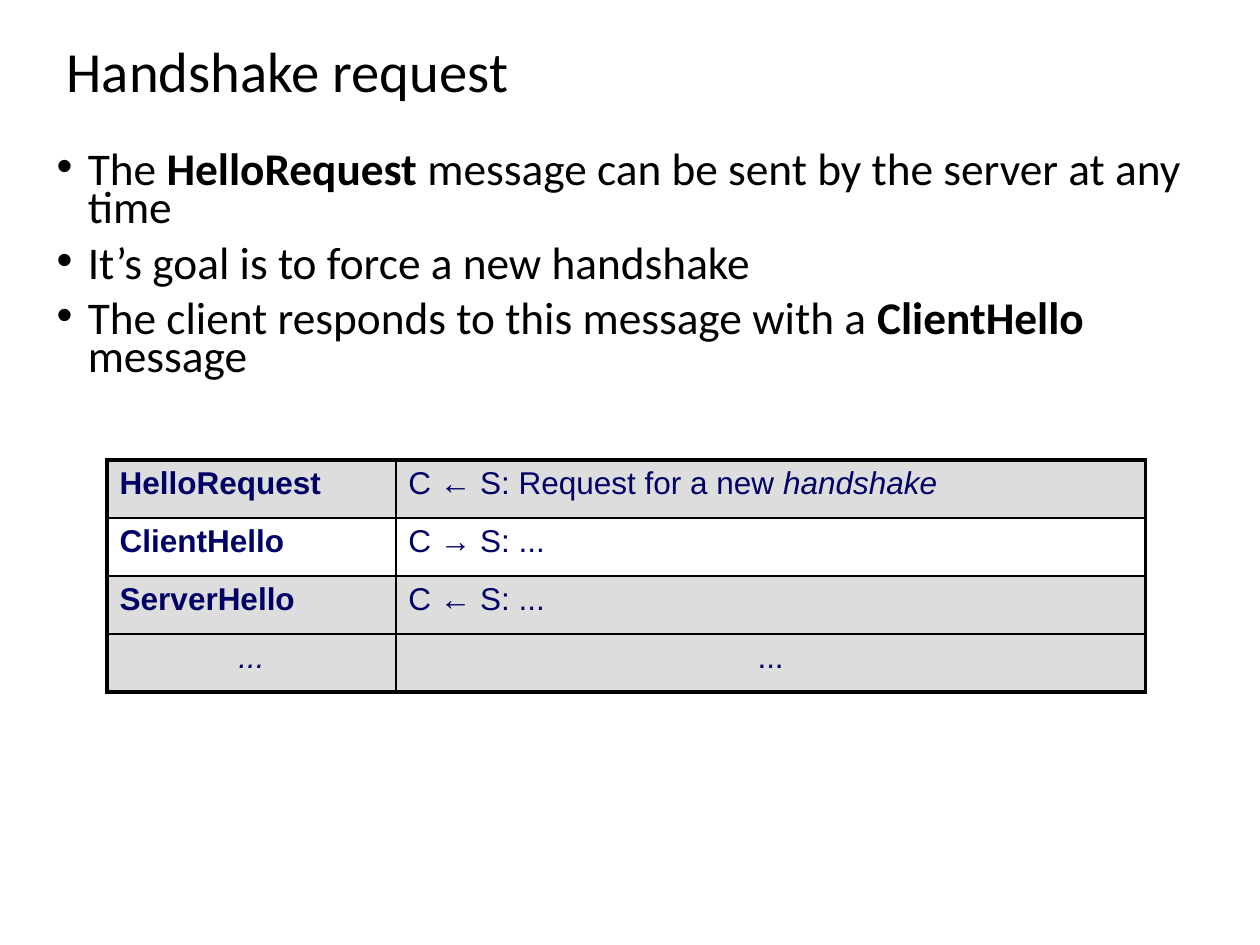
from lxml.etree import SubElement
from pptx import Presentation
from pptx.dml.color import RGBColor
from pptx.enum.text import MSO_AUTO_SIZE as AutoSize, MSO_VERTICAL_ANCHOR as Anchor, PP_ALIGN as Align
from pptx.oxml.ns import qn
from pptx.util import Cm, Pt

BLACK = RGBColor(0x00, 0x00, 0x00)
NAVY = RGBColor(0x00, 0x00, 0x66)
GREY = RGBColor(0xDD, 0xDD, 0xDD)
WHITE = RGBColor(0xFF, 0xFF, 0xFF)

TITLE_FONT = {"name": "Calibri", "size": Pt(32.4), "bold": False}
BODY_FONT = {"name": "Calibri", "size": Pt(25.9)}
CELL_FONT = {"name": "Arial", "size": Pt(18)}
BOLD, ITALIC = {"bold": True}, {"italic": True}

BULLETS = [
    [("The ", {}), ("HelloRequest", BOLD),
     (" message can be sent by the server at any time", {})],
    [("It’s goal is to force a new handshake", {})],
    [("The client responds to this message with a ", {}),
     ("ClientHello", BOLD), (" message", {})],
]
# Each row: fill, alignment, spans of the message cell, spans of the flow cell
MESSAGES = [
    (GREY, Align.LEFT, [("HelloRequest", BOLD)],
     [("C ← S: Request for a new ", {}), ("handshake", ITALIC)]),
    (WHITE, Align.LEFT, [("ClientHello", BOLD)], [("C → S: ...", {})]),
    (GREY, Align.LEFT, [("ServerHello", BOLD)], [("C ← S: ...", {})]),
    (GREY, Align.CENTER, [("...", ITALIC)], [("...", {})]),
]


def apply_format(target, values):
    """Set every attribute named in the dict on the target."""
    for name, value in values.items():
        setattr(target, name, value)


def write_spans(para, spans, font, color):
    """Write (text, format) spans in one base font and colour."""
    for text, extra in spans:
        span = para.add_run()
        span.text = text
        apply_format(span.font, {**font, **extra})
        span.font.color.rgb = color


def add_bullet(para, indent):
    """Give a paragraph a round bullet with a hanging indent."""
    props = para._p.get_or_add_pPr()
    props.set("marL", str(indent))
    props.set("indent", str(-indent))
    SubElement(props, qn("a:buFont")).set("typeface", "Arial")
    SubElement(props, qn("a:buChar")).set("char", "•")


def set_borders(cell, widths):
    """Draw the four cell edges; widths are keyed L, R, T, B."""
    props = cell._tc.get_or_add_tcPr()
    for index, (side, width) in enumerate(widths.items()):
        line = props.makeelement(qn(f"a:ln{side}"), {"w": str(Pt(width))})
        fill = SubElement(line, qn("a:solidFill"))
        SubElement(fill, qn("a:srgbClr")).set("val", str(BLACK))
        props.insert(index, line)


def place_title(page, text, left, top, width, height):
    """Move and format the title placeholder."""
    title = page.shapes.title
    apply_format(title, {"left": left, "top": top, "width": width, "height": height})
    apply_format(title.text_frame, {"vertical_anchor": Anchor.MIDDLE, "word_wrap": True,
                                    "auto_size": AutoSize.NONE})
    para = title.text_frame.paragraphs[0]
    apply_format(para, {"alignment": Align.LEFT, "line_spacing": 0.9})
    write_spans(para, [(text, {})], TITLE_FONT, BLACK)


def place_bullets(page, bullets, left, top, width, height):
    """Add the bulleted text."""
    frame = page.shapes.add_textbox(left, top, width, height).text_frame
    frame.word_wrap = True
    for index, spans in enumerate(bullets):
        para = frame.add_paragraph() if index else frame.paragraphs[0]
        apply_format(para, {"line_spacing": 0.7, "space_before": Pt(10)})
        add_bullet(para, Cm(0.63))
        write_spans(para, spans, BODY_FONT, BLACK)


def place_messages(page, messages, left, top, width, height):
    """Add the message table with a thick frame and thin inner lines."""
    count = len(messages)
    table = page.shapes.add_table(count, 2, left, top, width, height).table
    apply_format(table, {"first_row": False, "horz_banding": False})
    name_width = Cm(5.82)
    table.columns[0].width = name_width
    table.columns[1].width = width - name_width
    for row, (color, alignment, *contents) in enumerate(messages):
        for column, spans in enumerate(contents):
            cell = table.cell(row, column)
            cell.fill.solid()
            cell.fill.fore_color.rgb = color
            edges = {"L": column == 0, "R": column == 1,
                     "T": row == 0, "B": row == count - 1}
            set_borders(cell, {side: 2.25 if outer else 1 for side, outer in edges.items()})
            para = cell.text_frame.paragraphs[0]
            para.alignment = alignment
            write_spans(para, spans, CELL_FONT, NAVY)


def build_handshake_page(deck):
    """Add the handshake request slide."""
    page = deck.slides.add_slide(deck.slide_layouts[5])
    place_title(page, "Handshake request", Cm(1.09), Cm(0.71), Cm(22.81), Cm(1.55))
    place_bullets(page, BULLETS, Cm(0.89), Cm(3), Cm(23.19), Cm(4.9))
    place_messages(page, MESSAGES, Cm(2.16), Cm(9.27), Cm(20.93), Cm(4.68))


deck = Presentation()
apply_format(deck, {"slide_width": Cm(25.4), "slide_height": Cm(19.05)})
build_handshake_page(deck)
deck.save("out.pptx")
